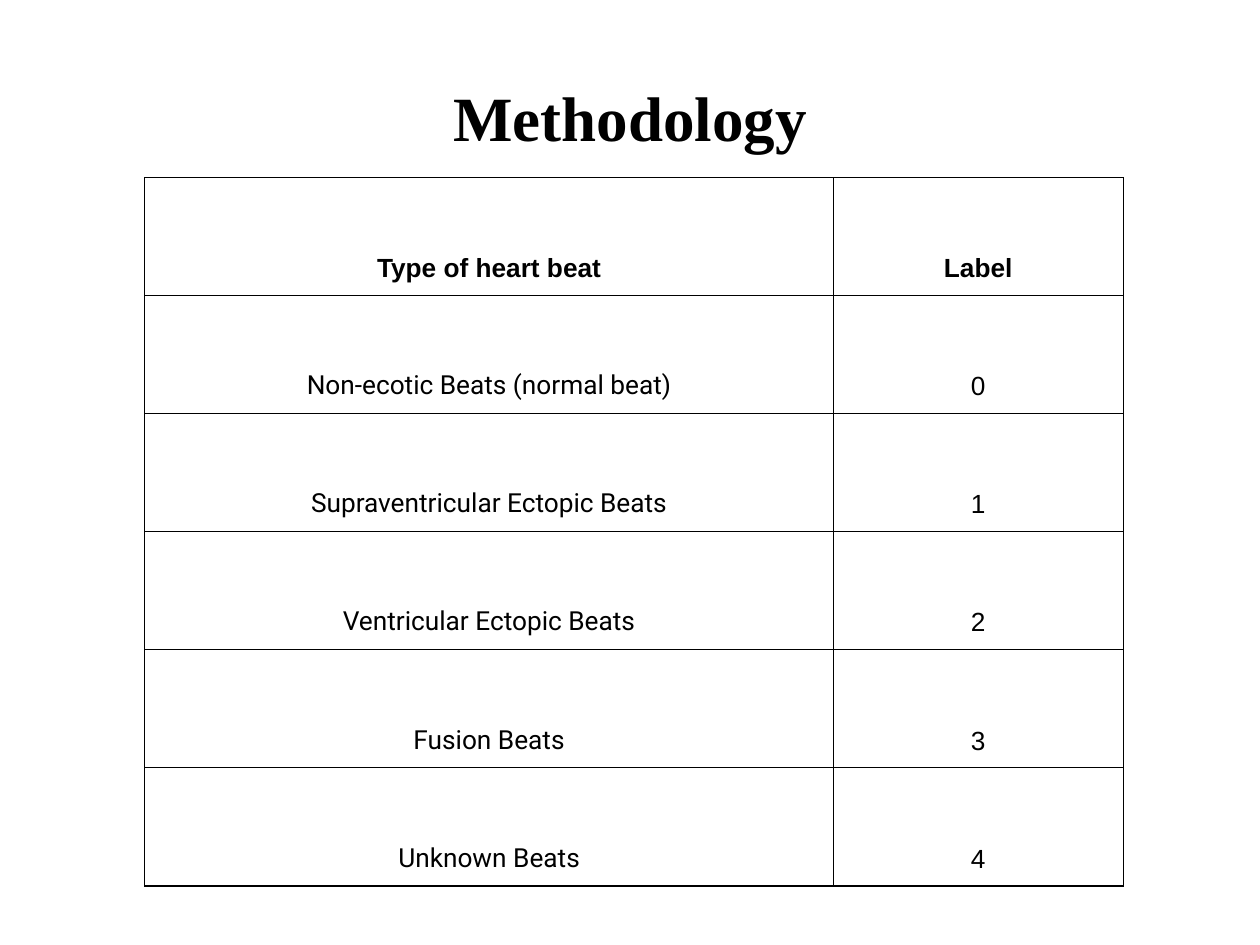
"""Build the Methodology slide with its table of heart beat labels."""
from lxml import etree
from pptx import Presentation
from pptx.dml.color import RGBColor
from pptx.enum.text import MSO_ANCHOR, PP_ALIGN
from pptx.oxml.ns import qn
from pptx.util import Cm, Pt

BLACK = RGBColor(0x00, 0x00, 0x00)
WHITE = RGBColor(0xFF, 0xFF, 0xFF)
CENTER = PP_ALIGN.CENTER
MIDDLE, BOTTOM = MSO_ANCHOR.MIDDLE, MSO_ANCHOR.BOTTOM

ROWS = [
    ("Type of heart beat", "Label"),
    ("Non-ecotic Beats (normal beat)", "0"),
    ("Supraventricular Ectopic Beats", "1"),
    ("Ventricular Ectopic Beats", "2"),
    ("Fusion Beats", "3"),
    ("Unknown Beats", "4"),
]
COL_WIDTHS = (Cm(13.88), Cm(5.84))
ROW_HEIGHT = Cm(2.38)


def add_run(p, text, font, size, bold):
    p.alignment = CENTER
    r = p.add_run()
    r.text = text
    r.font.name = font
    r.font.size = Pt(size)
    r.font.bold = bold
    r.font.color.rgb = BLACK


def add_borders(cell):
    tc_pr = cell._tc.get_or_add_tcPr()
    for side in ("lnL", "lnR", "lnT", "lnB"):
        ln = etree.SubElement(tc_pr, qn(f"a:{side}"), w=str(Pt(0.75)))
        fill = etree.SubElement(ln, qn("a:solidFill"))
        etree.SubElement(fill, qn("a:srgbClr"), val=str(BLACK))


prs = Presentation()
prs.slide_width, prs.slide_height = Cm(25.4), Cm(19.05)
s = prs.slides.add_slide(prs.slide_layouts[6])

title = s.shapes.add_textbox(Cm(1.27), Cm(0.76), Cm(22.86), Cm(3.18))
tf = title.text_frame
tf.word_wrap = True
tf.vertical_anchor = MIDDLE
tf.margin_left = tf.margin_top = tf.margin_right = tf.margin_bottom = 0
add_run(tf.paragraphs[0], "Methodology", "Times New Roman", 36, True)

table = s.shapes.add_table(
    len(ROWS), len(COL_WIDTHS), Cm(2.92), Cm(3.58),
    sum(COL_WIDTHS), ROW_HEIGHT * len(ROWS),
).table
table.horz_banding = False
for col, width in zip(table.columns, COL_WIDTHS):
    col.width = width

for i, values in enumerate(ROWS):
    table.rows[i].height = ROW_HEIGHT
    for j, text in enumerate(values):
        cell = table.cell(i, j)
        cell.vertical_anchor = BOTTOM
        cell.margin_left = cell.margin_right = Cm(0.08)
        cell.margin_top = cell.margin_bottom = Cm(0.25)
        add_borders(cell)
        is_beat_name = i > 0 and j == 0
        if is_beat_name:
            cell.fill.solid()
            cell.fill.fore_color.rgb = WHITE
        else:
            cell.fill.background()
        p = cell.text_frame.paragraphs[0]
        p.line_spacing = 1.15
        add_run(p, text, "Roboto" if is_beat_name else "Arial", 15, i == 0)

prs.save("out.pptx")
